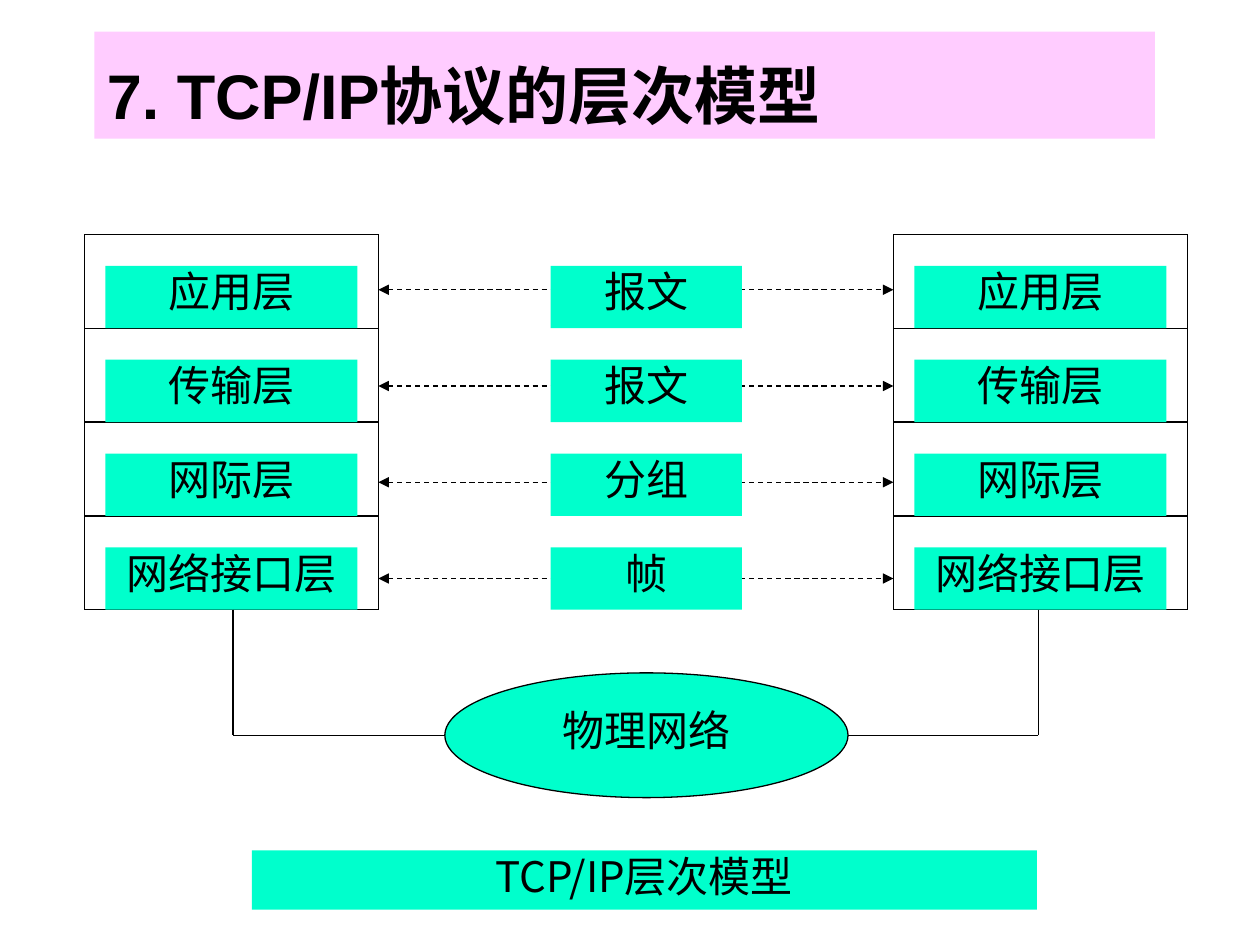
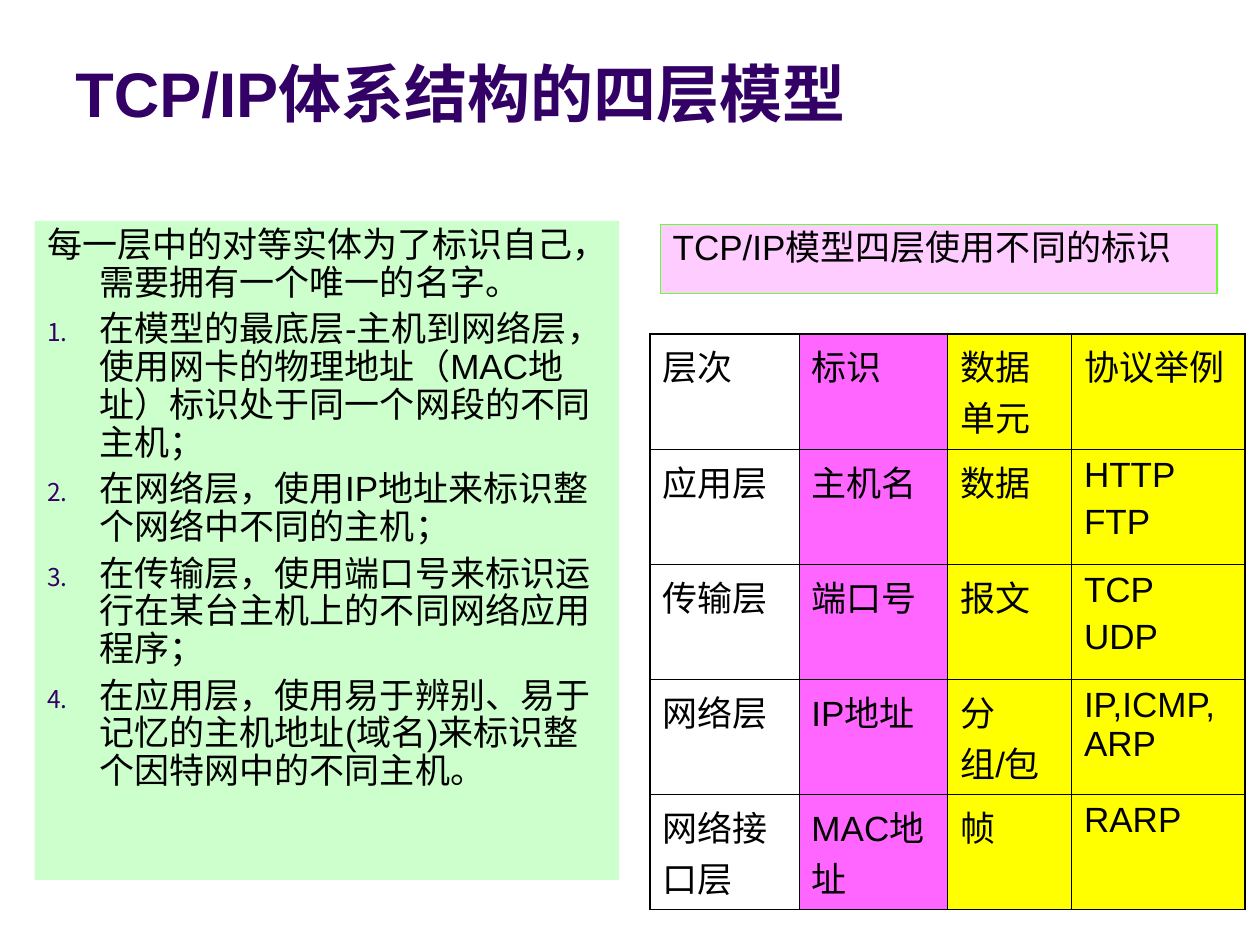
from dataclasses import dataclass
from typing import NamedTuple

from lxml import etree
from pptx import Presentation
from pptx.dml.color import RGBColor
from pptx.enum.dml import MSO_LINE
from pptx.enum.shapes import MSO_CONNECTOR, MSO_SHAPE
from pptx.enum.text import MSO_ANCHOR, PP_ALIGN
from pptx.oxml.ns import qn
from pptx.util import Pt

RECTANGLE, ELLIPSE = MSO_SHAPE.RECTANGLE, MSO_SHAPE.OVAL
STRAIGHT = MSO_CONNECTOR.STRAIGHT
DASH = MSO_LINE.DASH
LEFT, CENTER = PP_ALIGN.LEFT, PP_ALIGN.CENTER
TOP, BOTTOM = MSO_ANCHOR.TOP, MSO_ANCHOR.BOTTOM


# Shared look
@dataclass(frozen=True)
class Theme:
    black: str = "000000"
    purple: str = "330066"
    mint: str = "00FFCC"
    pink: str = "FFCCFF"
    pale_green: str = "CCFFCC"
    lime: str = "66FF33"
    magenta: str = "FF66FF"
    yellow: str = "FFFF00"
    sans: str = "Arial"
    serif: str = "Times New Roman"
    chinese: str = "Noto Sans CJK SC"
    title_size: float = 36
    label_size: float = 24
    body_size: float = 20
    thin: float = 0.75
    cell_inner: float = 0.45
    cell_outer: float = 1.08
    paragraph_gap: float = 5


THEME = Theme()


class Area(NamedTuple):
    left: float
    top: float
    width: float
    height: float

    def lengths(self) -> list:
        return [Pt(value) for value in self]


@dataclass(frozen=True)
class TextStyle:
    size: float
    font: str
    color: str = THEME.black
    bold: bool = False
    align: PP_ALIGN = LEFT
    anchor: MSO_ANCHOR = TOP
    margins: tuple = (7.2, 3.6)
    line_spacing: float = 1.0
    hanging: float = 0


TITLE = TextStyle(THEME.title_size, THEME.sans, bold=True, anchor=BOTTOM)
PURPLE_TITLE = TextStyle(THEME.title_size, THEME.sans, THEME.purple, True, anchor=BOTTOM)
LABEL = TextStyle(THEME.label_size, THEME.serif, align=CENTER, margins=(0, 0))
CAPTION = TextStyle(THEME.label_size, THEME.chinese, align=CENTER, margins=(0, 0))
BODY = TextStyle(THEME.body_size, THEME.sans, line_spacing=0.9, hanging=30)
HEADING = TextStyle(THEME.body_size, THEME.sans, line_spacing=0.9, hanging=27)
CELL = TextStyle(THEME.body_size, THEME.sans)


def rgb(color: str) -> RGBColor:
    return RGBColor.from_string(color)


def child(parent, tag: str, **attributes: str):
    return etree.SubElement(parent, qn(tag), **attributes)


# Text
def add_number(para) -> None:
    properties = para._p.get_or_add_pPr()
    child(child(properties, "a:buClr"), "a:srgbClr", val=THEME.purple)
    child(properties, "a:buSzPct", val="70000")
    child(properties, "a:buFont", typeface=THEME.chinese)
    child(properties, "a:buAutoNum", type="arabicPeriod")


def write(frame, lines: list[str], style: TextStyle, numbered_from: int | None = None) -> None:
    frame.word_wrap = True
    for index, line in enumerate(lines):
        para = frame.paragraphs[0] if index == 0 else frame.add_paragraph()
        para.alignment = style.align
        para.line_spacing = style.line_spacing
        if index:
            para.space_before = Pt(THEME.paragraph_gap)
        if style.hanging:
            properties = para._p.get_or_add_pPr()
            properties.set("marL", str(Pt(style.hanging)))
            properties.set("indent", str(-Pt(style.hanging)))
        if numbered_from is not None and index >= numbered_from:
            add_number(para)
        span = para.add_run()
        span.text = line
        span.font.size = Pt(style.size)
        span.font.bold = style.bold
        span.font.color.rgb = rgb(style.color)
        span.font.name = style.font
        run_properties = span._r.get_or_add_rPr()
        run_properties.set("lang", "zh-CN")
        child(run_properties, "a:ea", typeface=THEME.chinese)


def add_box(page, area: Area, lines: list[str], style: TextStyle | None = None,
            fill: str | None = None, outline: str | None = None,
            kind: MSO_SHAPE = RECTANGLE, numbered_from: int | None = None) -> None:
    box = page.shapes.add_shape(kind, *area.lengths())
    box.shadow.inherit = False
    if fill:
        box.fill.solid()
        box.fill.fore_color.rgb = rgb(fill)
    else:
        box.fill.background()
    if outline:
        box.line.color.rgb = rgb(outline)
        box.line.width = Pt(THEME.thin)
    else:
        box.line.fill.background()
    if style:
        frame = box.text_frame
        frame.margin_left = frame.margin_right = Pt(style.margins[0])
        frame.margin_top = frame.margin_bottom = Pt(style.margins[1])
        frame.vertical_anchor = style.anchor
        write(frame, lines, style, numbered_from)


# Lines
def add_line(page, x1: float, y1: float, x2: float, y2: float, arrows: bool = False) -> None:
    line = page.shapes.add_connector(STRAIGHT, Pt(x1), Pt(y1), Pt(x2), Pt(y2))
    line.line.color.rgb = rgb(THEME.black)
    line.line.width = Pt(THEME.thin)
    if arrows:
        line.line.dash_style = DASH
        outline = line.line._get_or_add_ln()
        for end in ("a:headEnd", "a:tailEnd"):
            child(outline, end, type="triangle")
    child(line._element.spPr, "a:effectLst")


# Slide 1: two protocol stacks joined by a physical network
LAYERS = ["应用层", "传输层", "网际层", "网络接口层"]
UNITS = ["报文", "报文", "分组", "帧"]
STACK_TOP, ROW_HEIGHT, STACK_WIDTH = 134, 53.6, 168
LEFT_STACK, RIGHT_STACK = 48.25, 510.5
LABEL_DROP, LABEL_HEIGHT = 18, 35.6
UNIT_LEFT, UNIT_WIDTH = 314.6, 109.4
STACK_BOTTOM = STACK_TOP + ROW_HEIGHT * len(LAYERS)
NETWORK = Area(254.2, 384.5, 230.4, 71.3)


def add_labels(page, names: list[str], left: float, width: float) -> None:
    for row, name in enumerate(names):
        top = STACK_TOP + row * ROW_HEIGHT + LABEL_DROP
        add_box(page, Area(left, top, width, LABEL_HEIGHT), [name], LABEL, THEME.mint)


def add_stack(page, left: float) -> None:
    right = left + STACK_WIDTH
    for x in (left, right):
        add_line(page, x, STACK_TOP, x, STACK_BOTTOM)
    for row in range(len(LAYERS) + 1):
        y = STACK_TOP + row * ROW_HEIGHT
        add_line(page, left, y, right, y)
    add_labels(page, LAYERS, left + 12, 144)


def build_layer_model(page) -> None:
    add_box(page, Area(144, 486, 448.5, 33.8), ["TCP/IP层次模型"], CAPTION, THEME.mint)
    for row in range(len(LAYERS)):
        y = 165.6 + 55 * row
        add_line(page, LEFT_STACK + STACK_WIDTH, y, RIGHT_STACK, y, arrows=True)
    add_labels(page, UNITS, UNIT_LEFT, UNIT_WIDTH)
    for left in (LEFT_STACK, RIGHT_STACK):
        add_stack(page, left)

    # Physical network and its links
    add_box(page, NETWORK, [], fill=THEME.mint, outline=THEME.black, kind=ELLIPSE)
    add_box(page, Area(UNIT_LEFT, 402.5, UNIT_WIDTH, LABEL_HEIGHT), ["物理网络"], LABEL, THEME.mint)
    middle = NETWORK.top + NETWORK.height / 2
    for x, edge in ((133.2, NETWORK.left), (593.3, NETWORK.left + NETWORK.width)):
        add_line(page, x, STACK_BOTTOM, x, middle)
        add_line(page, x, middle, edge, middle)
    add_box(page, Area(54, 18, 606, 61.2), ["7. TCP/IP协议的层次模型"], TITLE, THEME.pink)


# Slide 2: identifiers used by each layer
IDENTIFIER_NOTES = [
    "每一层中的对等实体为了标识自己，需要拥有一个唯一的名字。",
    "在模型的最底层-主机到网络层，使用网卡的物理地址（MAC地址）标识处于同一个网段的不同主机；",
    "在网络层，使用IP地址来标识整个网络中不同的主机；",
    "在传输层，使用端口号来标识运行在某台主机上的不同网络应用程序；",
    "在应用层，使用易于辨别、易于记忆的主机地址(域名)来标识整个因特网中的不同主机。",
]
IDENTIFIER_ROWS = [
    ["层次", "标识", "数据单元", "协议举例"],
    ["应用层", "主机名", "数据", "HTTP\nFTP"],
    ["传输层", "端口号", "报文", "TCP\nUDP"],
    ["网络层", "IP地址", "分组/包", "IP,ICMP,ARP"],
    ["网络接口层", "MAC地址", "帧", "RARP"],
]
COLUMN_WIDTHS = [85, 85, 70.8, 99.2]
COLUMN_FILLS = [None, THEME.magenta, THEME.yellow, THEME.yellow]
TABLE_ROW_HEIGHT = 65.8


def add_borders(cell, outer_sides: dict[str, bool]) -> None:
    properties = cell._tc.get_or_add_tcPr()
    for side, outer in outer_sides.items():
        width = THEME.cell_outer if outer else THEME.cell_inner
        border = child(properties, f"a:ln{side}", w=str(Pt(width)))
        child(child(border, "a:solidFill"), "a:srgbClr", val=THEME.black)


def add_identifier_table(page) -> None:
    row_count, column_count = len(IDENTIFIER_ROWS), len(COLUMN_WIDTHS)
    area = Area(371.5, 190.8, sum(COLUMN_WIDTHS), TABLE_ROW_HEIGHT * row_count)
    table = page.shapes.add_table(row_count, column_count, *area.lengths()).table
    table.first_row = table.horz_banding = False
    for column, width in zip(table.columns, COLUMN_WIDTHS):
        column.width = Pt(width)
    for row, texts in enumerate(IDENTIFIER_ROWS):
        table.rows[row].height = Pt(TABLE_ROW_HEIGHT)
        for column, text in enumerate(texts):
            cell = table.cell(row, column)
            add_borders(cell, {"L": column == 0, "R": column == column_count - 1,
                               "T": row == 0, "B": row == row_count - 1})
            if COLUMN_FILLS[column]:
                cell.fill.solid()
                cell.fill.fore_color.rgb = rgb(COLUMN_FILLS[column])
            else:
                cell.fill.background()
            write(cell.text_frame, text.split("\n"), CELL)


def build_identifiers(page) -> None:
    add_box(page, Area(36, 9.4, 642.2, 68.4), ["TCP/IP体系结构的四层模型"], PURPLE_TITLE)
    add_box(page, Area(19.8, 126.3, 334, 376.5), IDENTIFIER_NOTES, BODY,
            THEME.pale_green, numbered_from=1)
    add_box(page, Area(377.3, 128.2, 318.2, 39.6), ["TCP/IP模型四层使用不同的标识"],
            HEADING, THEME.pink, THEME.lime)
    add_identifier_table(page)


def main() -> None:
    deck = Presentation()
    deck.slide_width, deck.slide_height = Pt(720), Pt(540)
    blank = deck.slide_layouts[6]
    for build in (build_layer_model, build_identifiers):
        build(deck.slides.add_slide(blank))
    deck.save("out.pptx")


if __name__ == "__main__":
    main()
